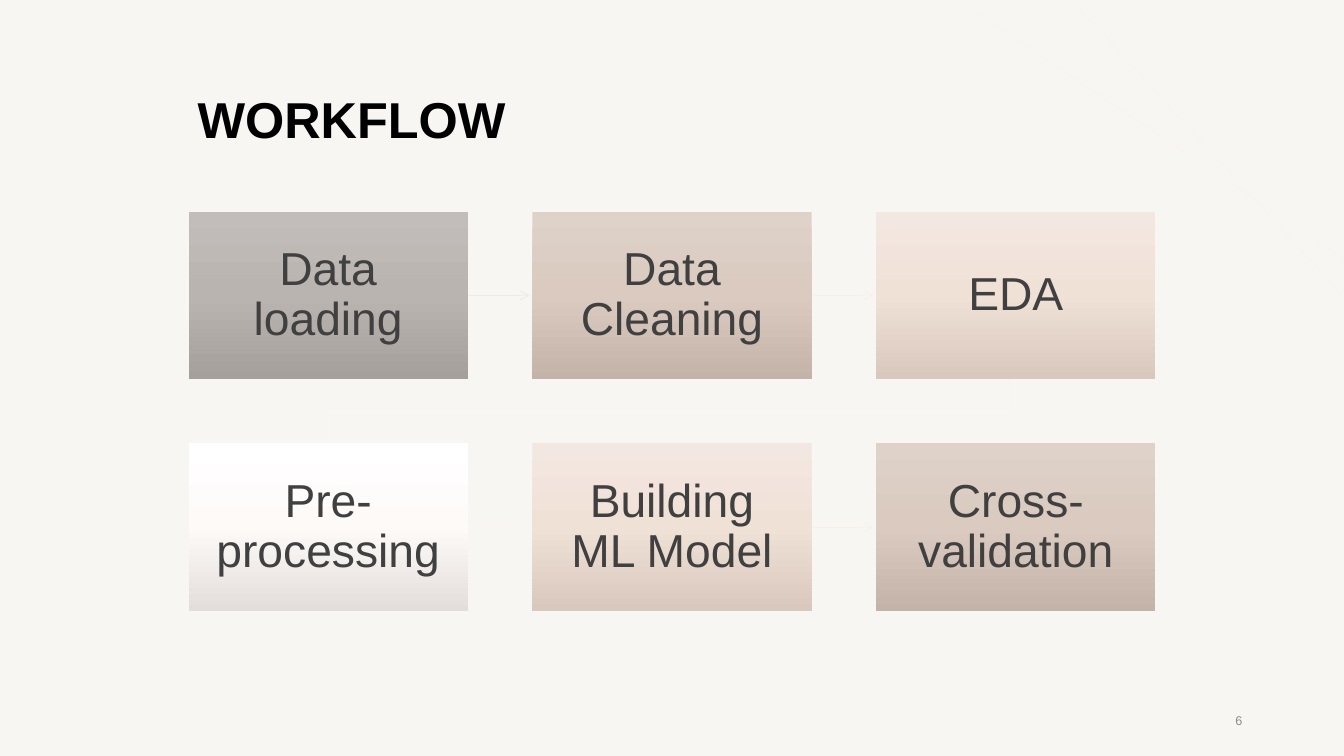
from copy import deepcopy
from dataclasses import dataclass

from lxml.etree import SubElement
from pptx import Presentation
from pptx.dml.color import RGBColor
from pptx.enum.shapes import MSO_AUTO_SHAPE_TYPE as Preset, MSO_CONNECTOR as Connector
from pptx.enum.text import MSO_ANCHOR as Anchor, MSO_AUTO_SIZE as AutoSize, PP_ALIGN as Align
from pptx.oxml.ns import qn
from pptx.util import Inches, Pt

FONT = "Arial"
COLORS = {
    "background": "F7F6F3", "title": "000000", "step": "404040", "number": "8C8C8C",
    "corner": "FBF4EF", "arrow 1": "F0E9E4", "arrow 2": "F6F0EB", "arrow 3": "FBF6F3",
}
GRADIENTS = {
    "gray": ("C2BDBA", "BAB4B0", "A6A09C"),
    "tan": ("DED2C9", "DACABF", "C3B3A8"),
    "peach": ("F3E8E1", "F0E1D7", "D8C8BD"),
    "white": ("FFFFFF", "FEFAF8", "E3DEDB"),
}

# Grid of steps, in inches
GRID_LEFT, GRID_TOP = 1.87, 2.1
STEP_WIDTH, STEP_HEIGHT = 2.77, 1.66
COLUMN, ROW = 3.41, 2.3
ARROW_GAP = 0.03
INSET = 0.26


@dataclass
class Step:
    label: str
    column: int
    row: int
    gradient: str
    arrow: str = ""

    @property
    def left(self) -> float:
        return GRID_LEFT + self.column * COLUMN

    @property
    def top(self) -> float:
        return GRID_TOP + self.row * ROW

    @property
    def center(self) -> float:
        return self.left + STEP_WIDTH / 2

    @property
    def middle(self) -> float:
        return self.top + STEP_HEIGHT / 2


STEPS = [
    Step("Data loading", 0, 0, "gray", "arrow 1"),
    Step("Data Cleaning", 1, 0, "tan", "arrow 2"),
    Step("EDA", 2, 0, "peach"),
    Step("Pre-processing", 0, 1, "white", "arrow 3"),
    Step("Building ML Model", 1, 1, "peach", "arrow 2"),
    Step("Cross-validation", 2, 1, "tan"),
]


def rgb(name: str) -> RGBColor:
    return RGBColor.from_string(COLORS[name])


def set_text(shape, text: str, size: float, color: str, align, anchor, bold=False) -> None:
    frame = shape.text_frame
    frame.text = text
    frame.word_wrap = True
    frame.vertical_anchor = anchor
    paragraph = frame.paragraphs[0]
    paragraph.alignment = align
    font = paragraph.runs[0].font
    font.name, font.size, font.bold = FONT, Pt(size), bold
    font.color.rgb = rgb(color)


def style_line(shape, color: str, arrow: bool = True) -> None:
    shape.line.color.rgb = rgb(color)
    shape.line.width = Pt(0.5)
    if arrow:
        SubElement(shape.line._get_or_add_ln(), qn("a:tailEnd"), type="arrow")


def add_line(shapes, x1: float, y1: float, x2: float, y2: float):
    line = shapes.add_connector(Connector.STRAIGHT, Inches(x1), Inches(y1), Inches(x2), Inches(y2))
    SubElement(line._element.spPr, qn("a:effectLst"))
    return line


def fill_gradient(shape, colors: tuple[str, str, str]) -> None:
    fill = shape.fill
    fill.gradient()
    fill.gradient_angle = 270
    stop_list = fill._xPr.find(qn("a:gradFill")).find(qn("a:gsLst"))
    stop_list.append(deepcopy(stop_list[-1]))
    for position, (stop, color) in enumerate(zip(fill.gradient_stops, colors)):
        stop.position = position / 2
        stop.color.rgb = RGBColor.from_string(color)


def add_step(shapes, step: Step):
    box = shapes.add_shape(Preset.RECTANGLE, Inches(step.left), Inches(step.top),
                           Inches(STEP_WIDTH), Inches(STEP_HEIGHT))
    box.shadow.inherit = False
    box.line.fill.background()
    fill_gradient(box, GRADIENTS[step.gradient])
    set_text(box, step.label, 33, "step", Align.CENTER, Anchor.MIDDLE)
    frame = box.text_frame
    frame.margin_left = frame.margin_right = Inches(INSET)
    frame.margin_top = frame.margin_bottom = Inches(INSET)
    frame.paragraphs[0].line_spacing = 0.9
    return box


def add_step_arrow(shapes, step: Step, box) -> None:
    arrow = add_line(shapes, step.left + STEP_WIDTH, step.middle,
                     step.left + COLUMN - ARROW_GAP, step.middle)
    arrow.begin_connect(box, 3)
    style_line(arrow, step.arrow)


def add_row_arrow(shapes, start: Step, end: Step, color: str) -> None:
    bottom = start.top + STEP_HEIGHT
    halfway = (bottom + end.top) / 2
    points = [(start.center, bottom), (start.center, halfway),
              (end.center, halfway), (end.center, end.top - ARROW_GAP)]
    emu = [(Inches(x), Inches(y)) for x, y in points]
    builder = shapes.build_freeform(*emu[0])
    builder.add_line_segments(emu[1:], close=False)
    path = builder.convert_to_shape()
    path.shadow.inherit = False
    path.fill.background()
    style_line(path, color)


def main() -> None:
    deck = Presentation()
    deck.slide_width, deck.slide_height = Inches(13.33), Inches(7.5)
    slide = deck.slides.add_slide(deck.slide_layouts[5])
    shapes = slide.shapes
    slide.background.fill.solid()
    slide.background.fill.fore_color.rgb = rgb("background")

    # Corner lines
    for start_x, end_y in ((9.5, 2.57), (10.63, 2.95)):
        style_line(add_line(shapes, start_x, 0, 13.33, end_y), "corner", arrow=False)

    # Title
    title = shapes.title
    title.left, title.top = Inches(1.86), Inches(0.82)
    title.width, title.height = Inches(7.94), Inches(0.71)
    set_text(title, "WORKFLOW", 36, "title", Align.LEFT, Anchor.TOP, bold=True)
    title.text_frame.auto_size = AutoSize.SHAPE_TO_FIT_TEXT

    # Workflow
    for step in STEPS:
        box = add_step(shapes, step)
        if step.arrow:
            add_step_arrow(shapes, step, box)
    add_row_arrow(shapes, STEPS[2], STEPS[3], "arrow 3")

    # Slide number
    number = shapes.add_textbox(Inches(9.42), Inches(6.95), Inches(3), Inches(0.4))
    set_text(number, "6", 9, "number", Align.RIGHT, Anchor.MIDDLE)

    deck.save("out.pptx")


if __name__ == "__main__":
    main()
